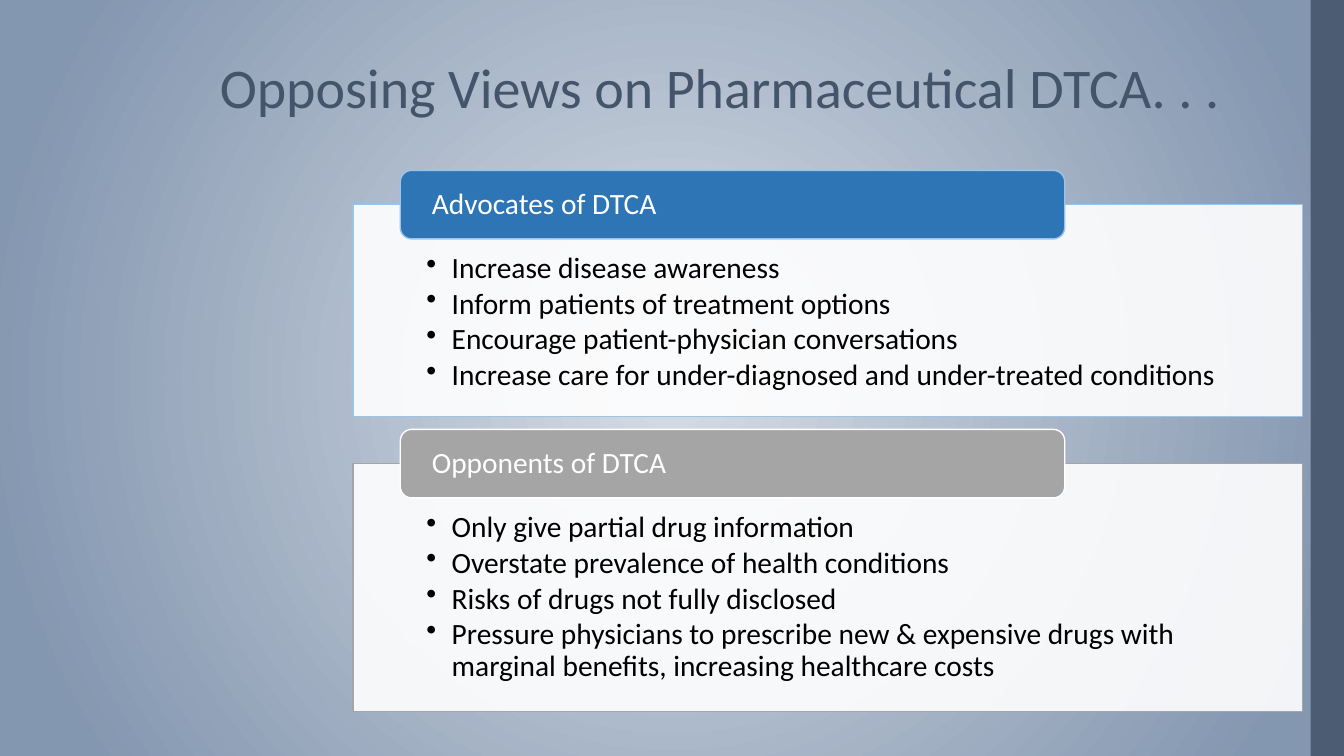
import pptx
import pptx.util
import pptx.dml.color
import pptx.enum.shapes
import pptx.enum.text
import pptx.oxml.ns
import lxml.etree

Inches = pptx.util.Inches
Pt = pptx.util.Pt
SHAPE = pptx.enum.shapes.MSO_SHAPE
ANCHOR = pptx.enum.text.MSO_ANCHOR
qn = pptx.oxml.ns.qn


def paint(target, color, alpha=None):
    """Give a fill a solid colour, with opacity in percent."""
    target.solid()
    target.fore_color.rgb = pptx.dml.color.RGBColor.from_string(color)
    if alpha:
        for node in shape.element.spPr.findall(qn("a:solidFill") + "/" + qn("a:srgbClr")):
            lxml.etree.SubElement(node, qn("a:alpha"), val=str(alpha * 1000))


def write(frame, lines, size=21, color="000000", anchor=ANCHOR.TOP,
          inset=(0.1, 0.05, 0.1, 0.05), after=0, bullet=False):
    frame.word_wrap = True
    frame.auto_size = pptx.enum.text.MSO_AUTO_SIZE.NONE
    frame.vertical_anchor = anchor
    (frame.margin_left, frame.margin_top,
     frame.margin_right, frame.margin_bottom) = map(Inches, inset)
    for i, line in enumerate(lines):
        para = frame.add_paragraph() if i else frame.paragraphs[0]
        if bullet:
            para.level = 1
            props = para._p.get_or_add_pPr()
            props.set("marL", str(Inches(0.25)))
            props.set("indent", str(Inches(-0.25)))
            lxml.etree.SubElement(props, qn("a:buChar"), char="•")
        para.alignment = pptx.enum.text.PP_ALIGN.LEFT
        para.line_spacing = 0.9
        para.space_before = Pt(0)
        para.space_after = Pt(after)
        run = para.add_run()
        run.text = line
        run.font.name = "Calibri"
        run.font.size = Pt(size)
        run.font.color.rgb = pptx.dml.color.RGBColor.from_string(color)


deck = pptx.Presentation()
deck.slide_width = Inches(13.33)
deck.slide_height = Inches(7.5)
slide = deck.slides.add_slide(deck.slide_layouts[5])

# Radial background
back = slide.background.fill
back.gradient()
for stop, place, color in zip(back.gradient_stops, (0, 0.9), ("D6DCE5", "8497B0")):
    stop.position = place
    stop.color.rgb = pptx.dml.color.RGBColor.from_string(color)
grad = slide.element.find(".//" + qn("a:gradFill"))
grad.remove(grad.find(qn("a:lin")))
ring = lxml.etree.SubElement(grad, qn("a:path"), path="circle")
lxml.etree.SubElement(ring, qn("a:fillToRect"), l="50000", t="50000", r="50000", b="50000")

# Title
title = slide.shapes.title
title.left, title.top = Inches(2.08), Inches(0.19)
title.width, title.height = Inches(10.33), Inches(1.06)
write(title.text_frame, ["Opposing Views on Pharmaceutical DTCA. . ."],
      size=40, color="44546A", anchor=ANCHOR.BOTTOM)

# Side bar
shape = slide.shapes.add_shape(SHAPE.RECTANGLE, Inches(13), 0, Inches(0.33), Inches(7.5))
shape.shadow.inherit = False
paint(shape.fill, "44546A", alpha=87)
shape.line.fill.background()

# Two views: top, height, panel line, tab fill, tab line, heading, points
views = [
    (2.03, 2.1, "9DC3E6", "2E75B6", "9DC3E6", "Advocates of DTCA", [
        "Increase disease awareness",
        "Inform patients of treatment options",
        "Encourage patient-physician conversations",
        "Increase care for under-diagnosed and under-treated conditions",
    ]),
    (4.6, 2.46, "A5A5A5", "A5A5A5", "FFFFFF", "Opponents of DTCA", [
        "Only give partial drug information",
        "Overstate prevalence of health conditions",
        "Risks of drugs not fully disclosed",
        "Pressure physicians to prescribe new & expensive drugs with "
        "marginal benefits, increasing healthcare costs",
    ]),
]
for top, height, edge, tint, rim, heading, points in views:
    panel = (SHAPE.RECTANGLE, 3.5, top, 9.42, height, "FFFFFF", 90, edge)
    tab = (SHAPE.ROUNDED_RECTANGLE, 3.97, top - 0.34, 6.59, 0.68, tint, None, rim)
    for kind, left, y, width, tall, color, alpha, line in (panel, tab):
        shape = slide.shapes.add_shape(
            kind, Inches(left), Inches(y), Inches(width), Inches(tall))
        shape.shadow.inherit = False
        paint(shape.fill, color, alpha)
        paint(shape.line.fill, line)
        shape.line.width = Pt(1)
        if kind == SHAPE.RECTANGLE:
            write(shape.text_frame, points, inset=(0.73, 0.48, 0.73, 0.16),
                  after=2.9, bullet=True)
        else:
            write(shape.text_frame, [heading], color="FFFFFF",
                  anchor=ANCHOR.MIDDLE, inset=(0.28, 0, 0.28, 0))

deck.save("out.pptx")
